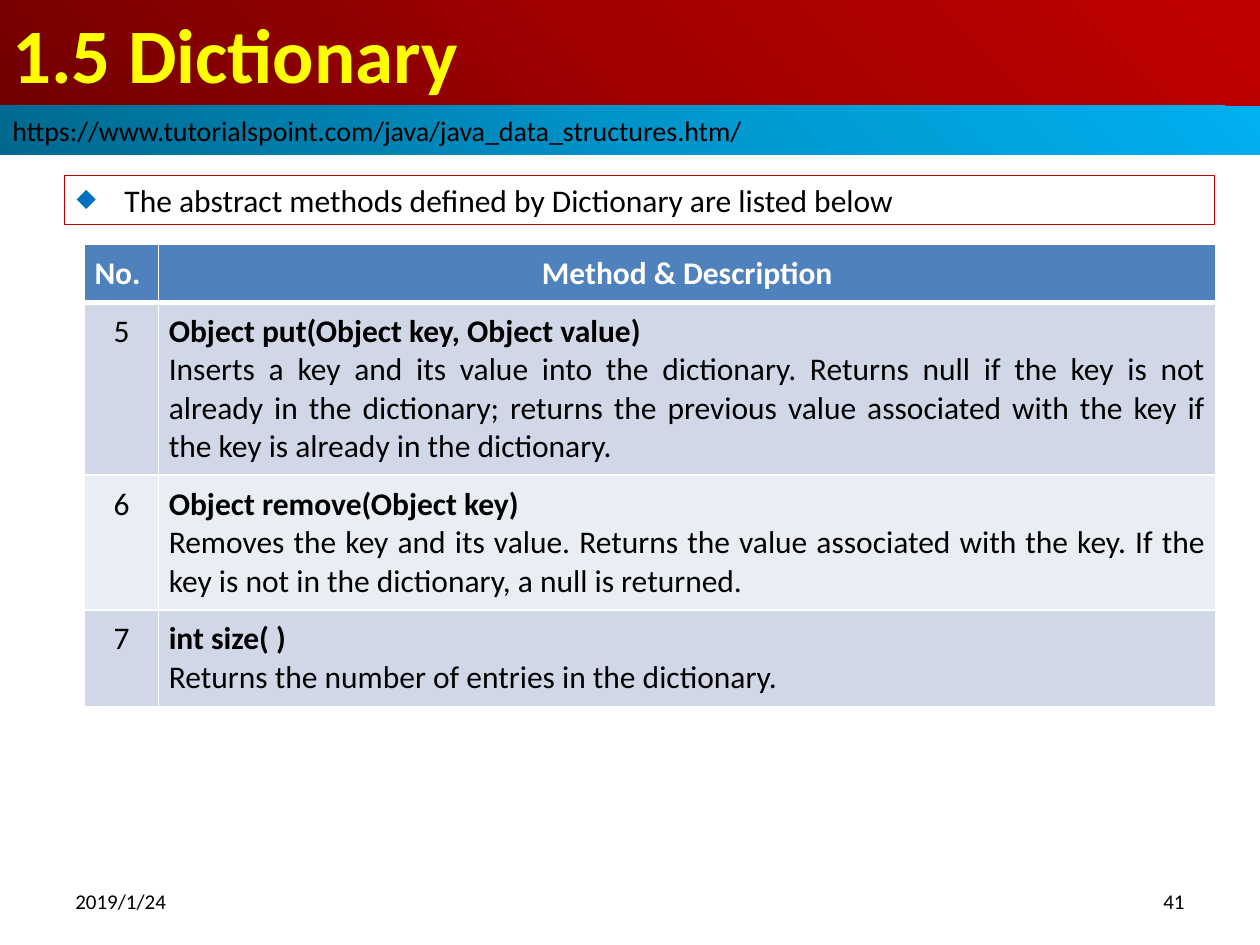
from lxml import etree
from pptx import Presentation
from pptx.dml.color import RGBColor
from pptx.enum.shapes import MSO_SHAPE
from pptx.enum.text import MSO_ANCHOR, PP_ALIGN
from pptx.oxml import parse_xml
from pptx.oxml.ns import nsdecls, qn
from pptx.util import Inches, Pt

TITLE = "1.5 Dictionary"
SOURCE_LINK = "https://www.tutorialspoint.com/java/java_data_structures.htm/"
INTRO = "The abstract methods defined by Dictionary are listed below"
DATE, PAGE = "2019/1/24", "41"
HEADER = ("No.", "Method & Description")
METHODS = [
    ("5", "Object put(Object key, Object value)",
     "Inserts a key and its value into the dictionary. Returns null if the key is not "
     "already in the dictionary; returns the previous value associated with the key if "
     "the key is already in the dictionary."),
    ("6", "Object remove(Object key)",
     "Removes the key and its value. Returns the value associated with the key. If the "
     "key is not in the dictionary, a null is returned."),
    ("7", "int size( )", "Returns the number of entries in the dictionary."),
]
COLUMN_WIDTHS = (0.59, 8.39)
ROW_HEIGHTS = (0.46, 1.37, 1.07, 0.77)
COLORS = {
    "text": "000000", "title": "FFFF00", "white": "FFFFFF", "frame": "C00000",
    "bullet": "0070C0", "header": "4F81BD", "odd": "D0D8E8", "even": "E9EDF4",
}
TITLE_GRADIENT = ("720000", "A20000", "C00000")
LINK_GRADIENT = ("00688E", "0094CA", "00B0F0")


def rgb(name):
    return RGBColor.from_string(COLORS[name])


def write(paragraph, text, size, color="text", bold=False, align=PP_ALIGN.LEFT):
    paragraph.text = text
    paragraph.alignment = align
    font = paragraph.font
    font.name, font.size, font.bold = "Calibri", Pt(size), bold
    font.color.rgb = rgb(color)


def add_box(slide, left, top, width, height, anchor=MSO_ANCHOR.MIDDLE):
    """Add an unfilled, unlined rectangle with wrapped text."""
    box = slide.shapes.add_shape(MSO_SHAPE.RECTANGLE, *map(Inches, (left, top, width, height)))
    box.shadow.inherit = False
    box.fill.background()
    box.line.fill.background()
    box.text_frame.word_wrap = True
    box.text_frame.vertical_anchor = anchor
    return box


def add_band(slide, top, height, gradient, text, size, color="text", bold=False):
    """Add a full-width band shaded outward from its lower left corner."""
    band = add_box(slide, 0, top, 10, height)
    stops = "".join(
        f'<a:gs pos="{i * 50000}"><a:srgbClr val="{shade}"/></a:gs>'
        for i, shade in enumerate(gradient))
    properties = band.fill._xPr
    properties.replace(properties.find(qn("a:noFill")), parse_xml(
        f'<a:gradFill {nsdecls("a")} rotWithShape="1"><a:gsLst>{stops}</a:gsLst>'
        '<a:path path="circle"><a:fillToRect t="100000" r="100000"/></a:path></a:gradFill>'))
    write(band.text_frame.paragraphs[0], text, size, color, bold)


def add_intro(slide):
    box = add_box(slide, 0.51, 1.39, 9.13, 0.39, MSO_ANCHOR.TOP)
    box.line.color.rgb = rgb("frame")
    box.line.width = Pt(0.75)
    paragraph = box.text_frame.paragraphs[0]
    properties = paragraph._p.get_or_add_pPr()
    properties.set("marL", str(Inches(0.38)))
    properties.set("indent", str(-Inches(0.38)))
    color = etree.SubElement(properties, qn("a:buClr"))
    etree.SubElement(color, qn("a:srgbClr"), val=COLORS["bullet"])
    etree.SubElement(properties, qn("a:buSzPct"), val="80000")
    etree.SubElement(properties, qn("a:buChar"), char="◆")
    write(paragraph, INTRO, 18)


def style_cell(cell, fill, bottom_width=1):
    cell.margin_left = cell.margin_right = cell.margin_top = cell.margin_bottom = Inches(0.08)
    properties = cell._tc.get_or_add_tcPr()
    for side, width in (("L", 1), ("R", 1), ("T", 1), ("B", bottom_width)):
        border = etree.SubElement(properties, qn(f"a:ln{side}"), w=str(Pt(width)))
        solid = etree.SubElement(border, qn("a:solidFill"))
        etree.SubElement(solid, qn("a:srgbClr"), val=COLORS["white"])
    cell.fill.solid()
    cell.fill.fore_color.rgb = rgb(fill)


def add_methods(slide):
    table = slide.shapes.add_table(
        len(ROW_HEIGHTS), len(COLUMN_WIDTHS), Inches(0.67), Inches(1.94),
        Inches(sum(COLUMN_WIDTHS)), Inches(sum(ROW_HEIGHTS))).table
    for column, width in zip(table.columns, COLUMN_WIDTHS):
        column.width = Inches(width)
    for row, height in zip(table.rows, ROW_HEIGHTS):
        row.height = Inches(height)
    for column, (label, align) in enumerate(zip(HEADER, (PP_ALIGN.LEFT, PP_ALIGN.CENTER))):
        cell = table.cell(0, column)
        style_cell(cell, "header", 3)
        write(cell.text_frame.paragraphs[0], label, 18, "white", True, align)
    for row, (number, signature, description) in enumerate(METHODS, 1):
        number_cell, method_cell = table.cell(row, 0), table.cell(row, 1)
        for cell in (number_cell, method_cell):
            style_cell(cell, "odd" if row % 2 else "even", 1)
        write(number_cell.text_frame.paragraphs[0], number, 18, align=PP_ALIGN.CENTER)
        frame = method_cell.text_frame
        write(frame.paragraphs[0], signature, 18, bold=True, align=PP_ALIGN.JUSTIFY)
        write(frame.add_paragraph(), description, 18, align=PP_ALIGN.JUSTIFY)


def add_footer(slide, left, text, align):
    box = slide.shapes.add_textbox(Inches(left), Inches(6.95), Inches(2.33), Inches(0.4))
    box.text_frame.word_wrap = True
    box.text_frame.vertical_anchor = MSO_ANCHOR.MIDDLE
    write(box.text_frame.paragraphs[0], text, 12, align=align)


def main():
    deck = Presentation()
    deck.slide_width, deck.slide_height = Inches(10), Inches(7.5)
    slide = deck.slides.add_slide(deck.slide_layouts[6])
    add_band(slide, 0, 0.84, TITLE_GRADIENT, TITLE, 44, "title", True)
    add_intro(slide)
    add_band(slide, 0.84, 0.39, LINK_GRADIENT, SOURCE_LINK, 16)
    add_footer(slide, 0.5, DATE, PP_ALIGN.LEFT)
    add_footer(slide, 7.17, PAGE, PP_ALIGN.RIGHT)
    add_methods(slide)
    deck.save("out.pptx")


if __name__ == "__main__":
    main()
